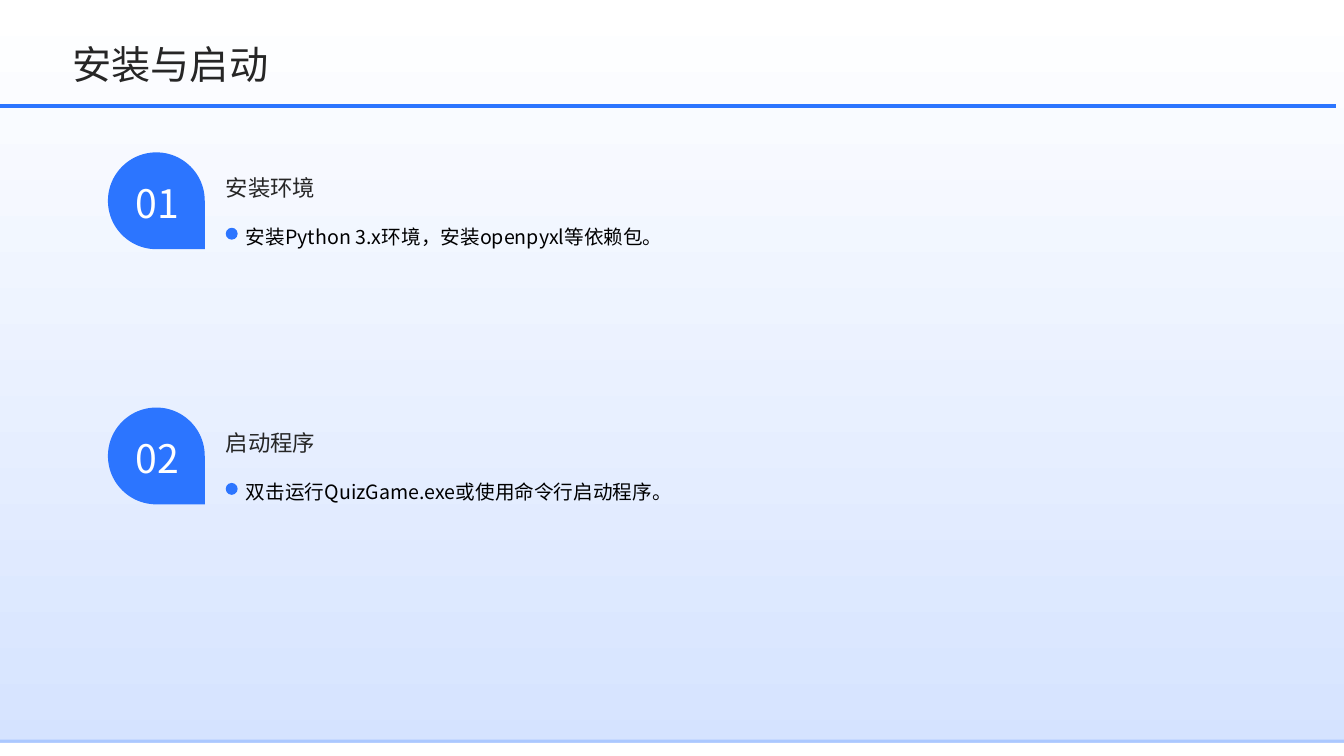
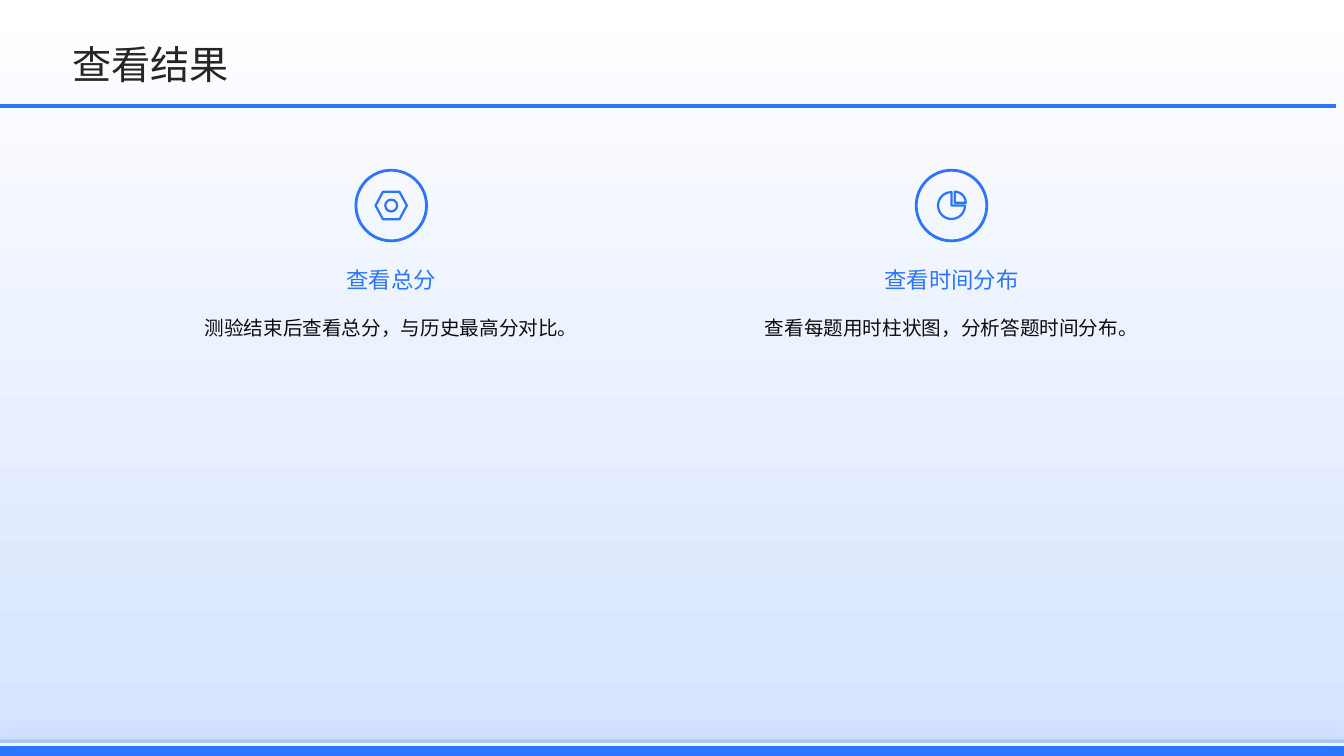
from dataclasses import dataclass
from typing import NamedTuple, Optional

from lxml.etree import SubElement
from pptx import Presentation
from pptx.dml.color import RGBColor
from pptx.enum.shapes import MSO_CONNECTOR as Connector, MSO_SHAPE as Preset
from pptx.enum.text import MSO_ANCHOR as Anchor, PP_ALIGN as Align
from pptx.oxml.ns import qn
from pptx.shapes.autoshape import Shape
from pptx.slide import Slide
from pptx.util import Cm, Pt

FONT = "Noto Sans CJK SC"
BLUE = RGBColor(0x2C, 0x75, 0xFF)
PALE_BLUE = RGBColor(0xAB, 0xC8, 0xFF)
MIST = RGBColor(0xD5, 0xE3, 0xFF)
WHITE = RGBColor(0xFF, 0xFF, 0xFF)
BLACK = RGBColor(0x00, 0x00, 0x00)
INK = RGBColor(0x0D, 0x0D, 0x0D)
CHARCOAL = RGBColor(0x26, 0x26, 0x26)

PAGE_WIDTH, PAGE_HEIGHT = 33.87, 19.05
STEP_TOP, STEP_PITCH = 3.84, 6.43
CARD_LEFT, CARD_WIDTH, CARD_PITCH = 3.33, 13.06, 14.12
ICON_CENTRE_Y = 5.18


class Area(NamedTuple):
    left: float
    top: float
    width: float
    height: float

    def lengths(self) -> list[Cm]:
        return [Cm(value) for value in self]


@dataclass(frozen=True)
class TextStyle:
    size: int
    color: RGBColor
    spacing: float = 1.0
    align: Align = Align.LEFT
    anchor: Anchor = Anchor.TOP


@dataclass(frozen=True)
class Shadow:
    blur: int
    distance: int
    angle: int


@dataclass(frozen=True)
class Step:
    number: str
    heading: str
    detail: str


@dataclass(frozen=True)
class Glyph:
    preset: Preset
    width: float
    height: float
    shift_x: float = 0
    shift_y: float = 0
    adjustments: tuple[float, ...] = ()


@dataclass(frozen=True)
class Card:
    heading: str
    detail: str
    glyphs: tuple[Glyph, ...]


TITLE = TextStyle(28, CHARCOAL, 1.1, anchor=Anchor.MIDDLE)
STEP_NUMBER = TextStyle(28, WHITE, 1.1, Align.CENTER, Anchor.MIDDLE)
STEP_HEADING = TextStyle(16, CHARCOAL, 1.1)
STEP_DETAIL = TextStyle(14, BLACK, 1.5)
CARD_HEADING = TextStyle(16, BLUE, align=Align.CENTER)
CARD_DETAIL = TextStyle(14, INK, 1.5, Align.CENTER)
BAR_SHADOW = Shadow(10, 10, 90)
BAND_SHADOW = Shadow(20, 0, 0)

STEPS = (
    Step("01", "安装环境", "安装Python 3.x环境，安装openpyxl等依赖包。"),
    Step("02", "启动程序", "双击运行QuizGame.exe或使用命令行启动程序。"),
)
NUT = (
    Glyph(Preset.HEXAGON, 0.79, 0.69, adjustments=(0.27,)),
    Glyph(Preset.OVAL, 0.3, 0.3),
)
PIE = (
    Glyph(Preset.PIE, 0.68, 0.68, adjustments=(0, 162)),
    Glyph(Preset.PIE, 0.56, 0.56, 0.08, -0.07, (162, 0)),
)
CARDS = (
    Card("查看总分", "测验结束后查看总分，与历史最高分对比。", NUT),
    Card("查看时间分布", "查看每题用时柱状图，分析答题时间分布。", PIE),
)


def add_text(page: Slide, area: Area, text: str, style: TextStyle) -> None:
    box = page.shapes.add_textbox(*area.lengths())
    frame = box.text_frame
    frame_format = {
        "margin_left": 0, "margin_right": 0, "margin_top": 0, "margin_bottom": 0,
        "word_wrap": True, "vertical_anchor": style.anchor,
    }
    for name, value in frame_format.items():
        setattr(frame, name, value)
    para = frame.paragraphs[0]
    for name, value in {"alignment": style.align, "line_spacing": style.spacing}.items():
        setattr(para, name, value)
    span = para.add_run()
    span.text = text
    for name, value in {"name": FONT, "size": Pt(style.size)}.items():
        setattr(span.font, name, value)
    span.font.color.rgb = style.color
    SubElement(span._r.get_or_add_rPr(), qn("a:ea"), typeface=FONT)


def add_filled(page: Slide, preset: Preset, area: Area, color: RGBColor = BLUE,
               shadow: Optional[Shadow] = None) -> Shape:
    shape = page.shapes.add_shape(preset, *area.lengths())
    shape.shadow.inherit = False
    shape.fill.solid()
    shape.fill.fore_color.rgb = color
    shape.line.fill.background()
    if shadow:
        effects = shape._element.spPr.find(qn("a:effectLst"))
        outer = SubElement(
            effects, qn("a:outerShdw"), blurRad=str(Pt(shadow.blur)),
            dist=str(Pt(shadow.distance)), dir=str(shadow.angle * 60000),
            algn="ctr", rotWithShape="0")
        tint = SubElement(outer, qn("a:srgbClr"), val=str(BLUE))
        SubElement(tint, qn("a:alpha"), val="25000")
    return shape


def add_outline(page: Slide, glyph: Glyph, centre_x: float, weight: float) -> None:
    area = Area(centre_x + glyph.shift_x - glyph.width / 2,
                ICON_CENTRE_Y + glyph.shift_y - glyph.height / 2,
                glyph.width, glyph.height)
    shape = page.shapes.add_shape(glyph.preset, *area.lengths())
    shape.shadow.inherit = False
    shape.fill.background()
    shape.line.color.rgb = BLUE
    shape.line.width = Pt(weight)
    for index, value in enumerate(glyph.adjustments):
        shape.adjustments[index] = value


def add_page(deck: Presentation, title: str) -> Slide:
    page = deck.slides.add_slide(deck.slide_layouts[6])
    backdrop = add_filled(page, Preset.RECTANGLE, Area(0, 0, PAGE_WIDTH, PAGE_HEIGHT))
    backdrop.fill.gradient()
    backdrop.fill.gradient_angle = 90
    for stop, color, position in zip(backdrop.fill.gradient_stops, (MIST, WHITE), (0, 1)):
        stop.color.rgb = color
        stop.position = position
    for top, height, color in ((18.64, 0.2, PALE_BLUE), (18.72, 0.33, WHITE)):
        add_filled(page, Preset.RECTANGLE, Area(0, top, PAGE_WIDTH, height), color, BAR_SHADOW)
    add_text(page, Area(1.83, 0.89, 29.64, 1.3), title, TITLE)
    rule = page.shapes.add_connector(Connector.STRAIGHT, Cm(0), Cm(2.67), Cm(33.68), Cm(2.67))
    rule.line.color.rgb = BLUE
    rule.line.width = Pt(2.25)
    SubElement(rule._element.spPr, qn("a:effectLst"))
    return page


def add_step(page: Slide, step: Step, top: float) -> None:
    drop = add_filled(page, Preset.TEAR, Area(2.72, top, 2.44, 2.44))
    drop.rotation = 90
    add_text(page, Area(2.92, top + 0.48, 2.08, 1.47), step.number, STEP_NUMBER)
    add_text(page, Area(5.69, top + 0.48, 25.43, 1.07), step.heading, STEP_HEADING)
    add_filled(page, Preset.OVAL, Area(5.69, top + 1.9, 0.3, 0.3))
    add_text(page, Area(6.2, top + 1.52, 24.92, 4.95), step.detail, STEP_DETAIL)


def add_card(page: Slide, card: Card, left: float) -> None:
    centre_x = left + CARD_WIDTH / 2
    add_outline(page, Glyph(Preset.OVAL, 1.78, 1.78), centre_x, 2)
    for glyph in card.glyphs:
        add_outline(page, glyph, centre_x, 1.6)
    add_text(page, Area(left, 6.71, CARD_WIDTH, 0.76), card.heading, CARD_HEADING)
    add_text(page, Area(left, 7.67, CARD_WIDTH, 9.37), card.detail, CARD_DETAIL)


def main() -> None:
    deck = Presentation()
    deck.slide_width, deck.slide_height = Cm(PAGE_WIDTH), Cm(PAGE_HEIGHT)

    install_page = add_page(deck, "安装与启动")
    for index, step in enumerate(STEPS):
        add_step(install_page, step, STEP_TOP + index * STEP_PITCH)

    result_page = add_page(deck, "查看结果")
    add_filled(result_page, Preset.RECTANGLE, Area(0, 18.8, PAGE_WIDTH, 0.25), BLUE, BAND_SHADOW)
    for index, card in enumerate(CARDS):
        add_card(result_page, card, CARD_LEFT + index * CARD_PITCH)

    deck.save("out.pptx")


if __name__ == "__main__":
    main()
